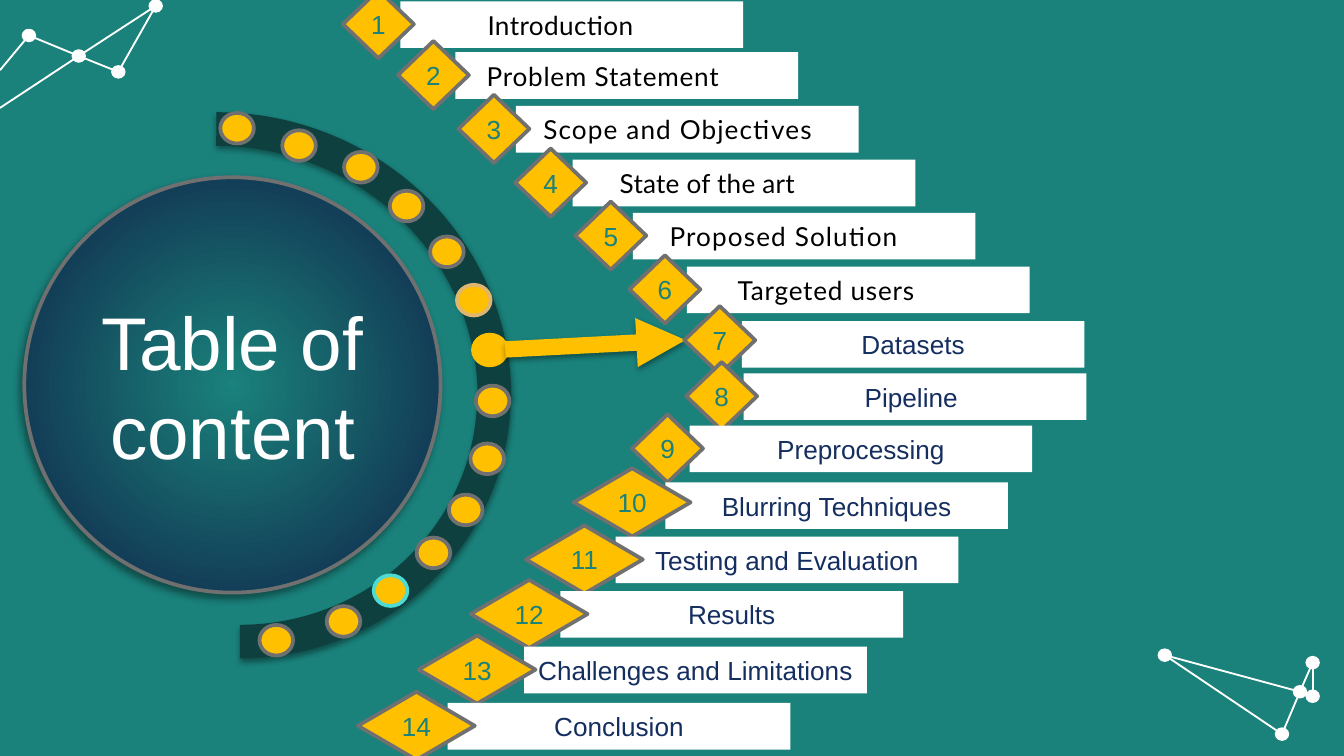
from dataclasses import dataclass

from lxml import etree
from pptx import Presentation
from pptx.dml.color import RGBColor
from pptx.enum.shapes import MSO_CONNECTOR, MSO_SHAPE
from pptx.enum.text import MSO_ANCHOR, PP_ALIGN
from pptx.oxml.ns import qn
from pptx.util import Pt

LINE = MSO_CONNECTOR.STRAIGHT
DISC = MSO_SHAPE.FLOWCHART_CONNECTOR
OVAL = MSO_SHAPE.OVAL
ARC = MSO_SHAPE.ARC
RECT = MSO_SHAPE.RECTANGLE
KITE = MSO_SHAPE.DIAMOND
LEFT = PP_ALIGN.LEFT
MID = PP_ALIGN.CENTER
CENTER = MSO_ANCHOR.MIDDLE


@dataclass(frozen=True)
class Theme:
    teal: str = "1A817B"
    navy: str = "102248"
    ink: str = "152E60"
    black: str = "000000"
    white: str = "FFFFFF"
    grey: str = "707070"
    gold: str = "FFC000"
    sand: str = "DFB66D"
    aqua: str = "4EDBD3"
    deep: str = "0D403E"
    sans: str = "Arial"
    lato: str = "Lato"
    title: int = 40
    body: int = 14


@dataclass(frozen=True)
class Step:
    text: str
    left: float
    top: float
    pad: float = 0
    trail: float = 0
    track: float = 0
    lato: bool = False
    shift: float = 0
    rise: float = 6


THEME = Theme()
SOFT = (38, 3.1, 1.6, 90)
DEEP = (40, 4, 3, 135)

STEPS = [
    Step("Introduction", 214.5, 0.7, trail=12, track=0.2, lato=True),
    Step("Problem Statement", 244, 28, pad=9.5, track=0.4, lato=True),
    Step("Scope and Objectives", 276.4, 56.8, pad=7.5, track=0.6, lato=True),
    Step("State of the art", 306.8, 85.6, pad=18, track=0.1, lato=True),
    Step("Proposed Solution", 339, 114, pad=12.5, track=0.6, lato=True),
    Step("Targeted users", 368, 142.8, pad=20, track=0.4, lato=True),
    Step("Datasets", 397.4, 172, rise=8),
    Step("Pipeline", 398.4, 200, trail=4),
    Step("Preprocessing", 369.4, 228),
    Step("Blurring Techniques", 356.4, 258.4, shift=1, rise=7.5),
    Step("Testing and Evaluation", 329.8, 287.5),
    Step("Results", 300.2, 316.7),
    Step("Challenges and Limitations", 280.8, 346.5, shift=8.5),
    Step("Conclusion", 239.8, 376.6),
]

BEADS = [(118, 60.5), (151.2, 69.8), (184.3, 81.4), (208.8, 102.2), (230.4, 126.7),
         (244.8, 152.6), (253.4, 179.3), (254.9, 206.6), (252, 237.6), (240.5, 265),
         (223.2, 288), (200.2, 308.2), (175, 324.7), (139, 334.8)]
RIMS = {5: THEME.sand, 6: THEME.gold, 11: THEME.aqua}

NORTH = [(15.5, 19), (42.2, 30), (63.4, 38.5), (83.4, 3.2)]
NORTH_TIES = [(0, 1), (1, 2), (2, 3), (1, 3)]
EDGES = [((15.5, 19), (0, 37.6)), ((42.2, 30), (0, 57.8))]
SOUTH = [(624, 351), (686.8, 393.3), (696.4, 370.6), (703.2, 355), (703.2, 373)]
SOUTH_TIES = [(0, 1), (0, 2), (1, 2), (2, 3), (2, 4), (3, 4)]


def tint(code):
    return RGBColor.from_string(code)


def shade(item, cast=None):
    fx = etree.SubElement(item._element.spPr, qn("a:effectLst"))
    if cast:
        alpha, blur, dist, angle = cast
        drop = etree.SubElement(fx, qn("a:outerShdw"), blurRad=str(Pt(blur)), dist=str(Pt(dist)),
                                dir=str(angle * 60000), algn="ctr", rotWithShape="0")
        hue = etree.SubElement(drop, qn("a:srgbClr"), val=THEME.black)
        etree.SubElement(hue, qn("a:alpha"), val=str(alpha * 1000))


def form(slide, kind, box, fill=None, rim=None, width=2, cast=None):
    item = slide.shapes.add_shape(kind, *map(Pt, box))
    if fill:
        item.fill.solid()
        item.fill.fore_color.rgb = tint(fill)
    else:
        item.fill.background()
    if rim:
        item.line.color.rgb = tint(rim)
        item.line.width = Pt(width)
    else:
        item.line.fill.background()
    shade(item, cast)
    return item


def link(slide, start, end, color, width, cast=None):
    item = slide.shapes.add_connector(LINE, *map(Pt, start + end))
    item.line.color.rgb = tint(color)
    item.line.width = Pt(width)
    shade(item, cast)
    return item


def write(item, text, size, color, face, align=MID, track=0, pad=0, trail=0, wrap=True):
    frame = item.text_frame
    frame.word_wrap = wrap
    frame.vertical_anchor = CENTER
    frame.margin_left, frame.margin_right = Pt(pad), Pt(trail)
    frame.margin_top = frame.margin_bottom = 0
    para = frame.paragraphs[0]
    para.alignment = align
    run = para.add_run()
    run.text = text
    run.font.size = Pt(size)
    run.font.name = face
    run.font.color.rgb = tint(color)
    if track:
        run._r.get_or_add_rPr().set("spc", str(round(track * 100)))


def web(slide, stars, ties):
    for a, b in ties:
        link(slide, stars[a], stars[b], THEME.white, 1)
    for x, y in stars:
        form(slide, OVAL, (x - 3.5, y - 3.25, 7, 6.5), THEME.white, THEME.white, 0.75)


def disc(slide):
    item = form(slide, DISC, (13, 95, 223, 222.5), THEME.teal, THEME.grey, 2, DEEP)
    item.fill.gradient()
    for stop, code in zip(item.fill.gradient_stops, (THEME.teal, THEME.navy)):
        stop.color.rgb = tint(code)
    grad = item._element.spPr.find(qn("a:gradFill"))
    grad.remove(grad.find(qn("a:lin")))
    ring = etree.SubElement(grad, qn("a:path"), path="circle")
    etree.SubElement(ring, qn("a:fillToRect"), l="50000", t="50000", r="50000", b="50000")
    write(item, "Table of content", THEME.title, THEME.white, THEME.sans)


def track(slide):
    form(slide, ARC, (-33.1, 69.1, 298, 287.3), None, THEME.deep, 18, SOFT)
    lower = form(slide, ARC, (-3.6, 75.6, 264.2, 272.2), None, THEME.deep, 18, SOFT)
    lower.rotation = 90
    for i, (x, y) in enumerate(BEADS):
        form(slide, DISC, (x, y, 18, 16.4), THEME.gold, RIMS.get(i, THEME.grey))


def arrow(slide):
    item = link(slide, (270.7, 187.2), (367.2, 182.2), THEME.gold, 8.75, SOFT)
    etree.SubElement(item.line._get_or_add_ln(), qn("a:tailEnd"), type="triangle")


def entry(slide, number, step):
    bar = form(slide, RECT, (step.left, step.top, 183.6, 25), THEME.white)
    face, color = (THEME.lato, THEME.black) if step.lato else (THEME.sans, THEME.ink)
    write(bar, step.text, THEME.body, color, face, LEFT if step.pad else MID,
          step.track, 7.2 + step.pad, 7.2 + step.trail)
    wide, back = (62.6, 48) if number > 9 else (38, 30.8)
    mark = form(slide, KITE, (step.left - back - step.shift, step.top - step.rise, wide, 36.5),
                THEME.gold, THEME.grey)
    write(mark, str(number), THEME.body, THEME.teal, THEME.sans, wrap=False)


def main():
    deck = Presentation()
    deck.slide_width, deck.slide_height = Pt(720), Pt(405)
    slide = deck.slides.add_slide(deck.slide_layouts[6])
    slide.background.fill.solid()
    slide.background.fill.fore_color.rgb = tint(THEME.teal)
    for start, end in EDGES:
        link(slide, start, end, THEME.white, 1)
    web(slide, NORTH, NORTH_TIES)
    web(slide, SOUTH, SOUTH_TIES)
    disc(slide)
    track(slide)
    arrow(slide)
    for number, step in enumerate(STEPS, 1):
        entry(slide, number, step)
    deck.save("out.pptx")


if __name__ == "__main__":
    main()
